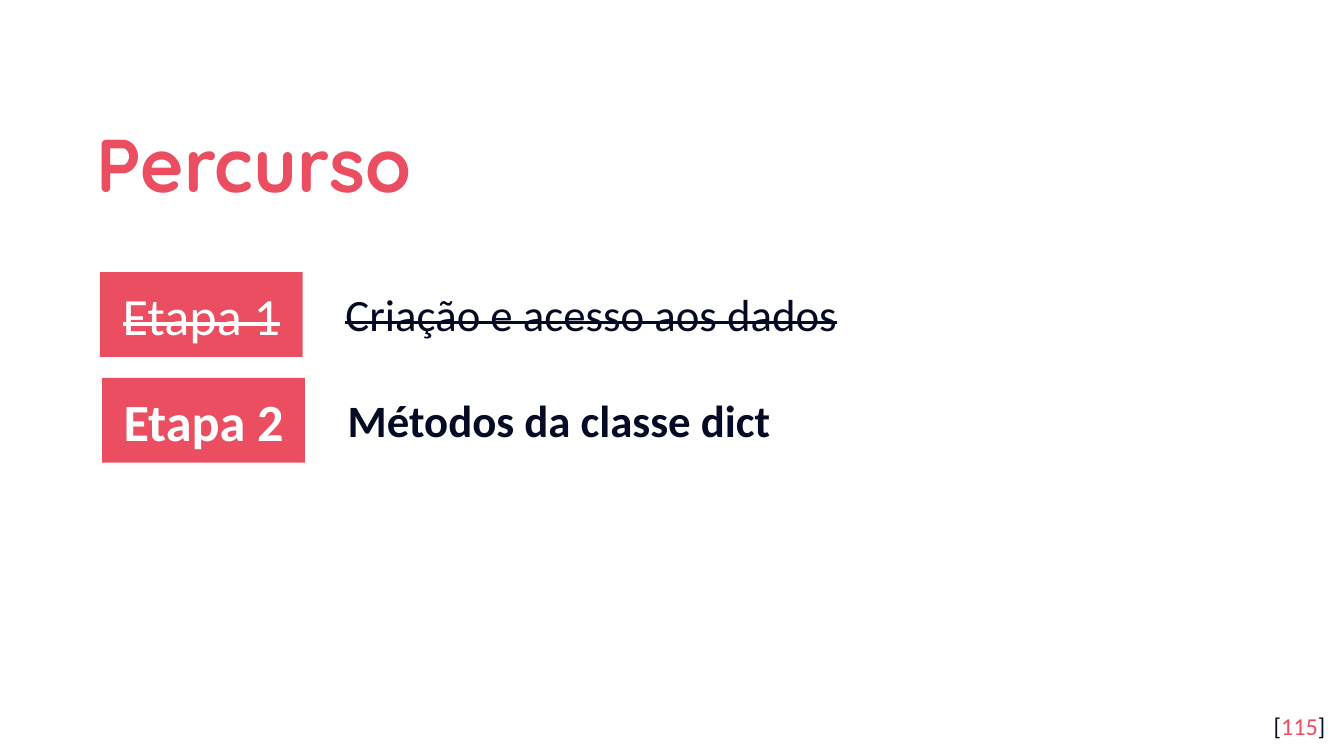
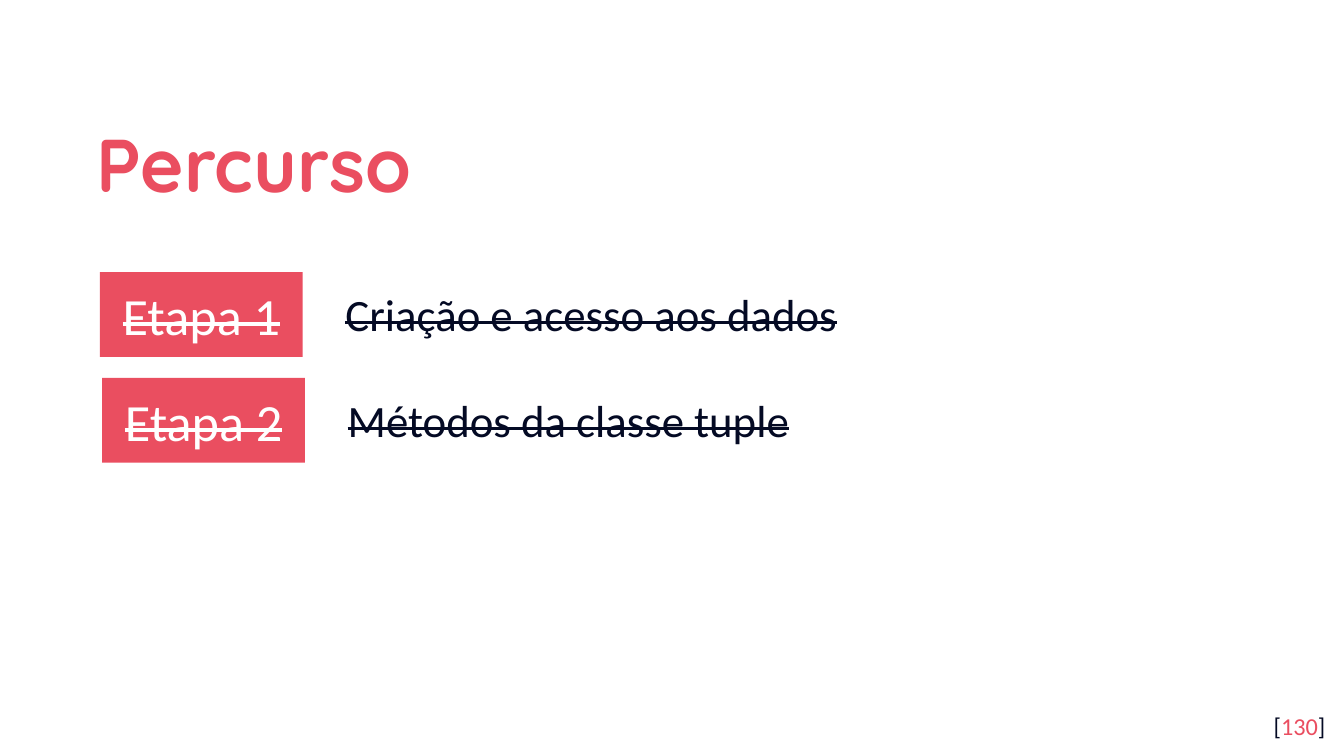
from pptx import Presentation
from pptx.dml.color import RGBColor
from pptx.enum.shapes import MSO_SHAPE
from pptx.enum.text import MSO_ANCHOR, MSO_AUTO_SIZE, PP_ALIGN
from pptx.util import Pt

RECTANGLE = MSO_SHAPE.RECTANGLE
TOP, MIDDLE = MSO_ANCHOR.TOP, MSO_ANCHOR.MIDDLE
LEFT, CENTER, RIGHT = PP_ALIGN.LEFT, PP_ALIGN.CENTER, PP_ALIGN.RIGHT
NO_FIT = MSO_AUTO_SIZE.NONE
TITLE_ONLY = 5

RED, NAVY, WHITE = "EA4E60", "040A24", "FFFFFF"
BODY_FONT, TITLE_FONT = "Calibri", "Quicksand"
FIRST_LEFT, FIRST_TOP = 53.5, 145.8
ROW_SHIFT, ROW_PITCH = 1.2, 56.7
TOPIC_WIDTH, TOPIC_HEIGHT = 486, 36

DONE, CURRENT = {"strike": True}, {"bold": True}


def color(value):
    return RGBColor.from_string(value)


def add_span(para, text, *, size, fill, font=BODY_FONT, bold=False, strike=False):
    span = para.add_run()
    span.text = text
    span.font.size = Pt(size)
    span.font.name = font
    span.font.bold = bold
    span.font.color.rgb = color(fill)
    if strike:
        span._r.get_or_add_rPr().set("strike", "sngStrike")


class Slides:
    def __init__(self):
        self.deck = Presentation()
        self.deck.slide_width, self.deck.slide_height = Pt(720), Pt(405)
        self.page = None

    def add_page(self):
        self.page = self.deck.slides.add_slide(self.deck.slide_layouts[TITLE_ONLY])
        self.page.background.fill.solid()
        self.page.background.fill.fore_color.rgb = color(WHITE)

    def prepare(self, box, anchor=TOP, align=LEFT, inset=7.2):
        frame = box.text_frame
        frame.auto_size = NO_FIT
        frame.word_wrap = True
        frame.vertical_anchor = anchor
        frame.margin_left = frame.margin_right = Pt(7.2)
        frame.margin_top = frame.margin_bottom = Pt(inset)
        para = frame.paragraphs[0]
        para.alignment = align
        return para

    def title(self, text):
        box = self.page.shapes.title
        box.left, box.top, box.width, box.height = Pt(44.6), Pt(50.4), Pt(583.2), Pt(66.2)
        para = self.prepare(box, MIDDLE)
        para.line_spacing = 1.15
        para.space_before = Pt(0)
        add_span(para, text, size=40, fill=RED, font=TITLE_FONT, bold=True)

    def page_number(self, number):
        box = self.page.shapes.add_textbox(Pt(673.9), Pt(373.7), Pt(43.2), Pt(31))
        para = self.prepare(box, align=RIGHT)
        for text, fill in (("[", NAVY), (str(number), RED), ("]", NAVY)):
            add_span(para, text, size=13, fill=fill)

    def badge(self, text, left, top, state):
        box = self.page.shapes.add_shape(RECTANGLE, Pt(left), Pt(top), Pt(108.7), Pt(45.4))
        box.shadow.inherit = False
        box.fill.solid()
        box.fill.fore_color.rgb = color(RED)
        box.line.fill.background()
        para = self.prepare(box, MIDDLE, CENTER)
        add_span(para, text, size=28, fill=WHITE, **state)

    def topic(self, text, left, top, state):
        outline = self.page.shapes.build_freeform(0, 0, scale=Pt(1))
        outline.add_line_segments(
            [(TOPIC_WIDTH, 0), (TOPIC_WIDTH, TOPIC_HEIGHT), (0, TOPIC_HEIGHT)], close=True)
        box = outline.convert_to_shape(Pt(left), Pt(top))
        box.shadow.inherit = False
        box.fill.background()
        box.line.fill.background()
        para = self.prepare(box, inset=3.6)
        properties = para._p.get_or_add_pPr()
        properties.set("marL", str(Pt(36)))
        properties.set("indent", str(Pt(-36)))
        add_span(para, text, size=24, fill=NAVY, **state)

    def route(self, number, steps):
        self.add_page()
        self.title("Percurso")
        self.page_number(number)
        for row, (text, state) in enumerate(steps):
            left, top = FIRST_LEFT + row * ROW_SHIFT, FIRST_TOP + row * ROW_PITCH
            self.badge(f"Etapa {row + 1}", left, top, state)
            self.topic(text, left + 124.5, top + 4.5, state)


def main():
    slides = Slides()
    creation = ("Criação e acesso aos dados", DONE)
    slides.route(115, [creation, ("Métodos da classe dict", CURRENT)])
    slides.route(130, [creation, ("Métodos da classe tuple", DONE)])
    slides.deck.save("out.pptx")


if __name__ == "__main__":
    main()
